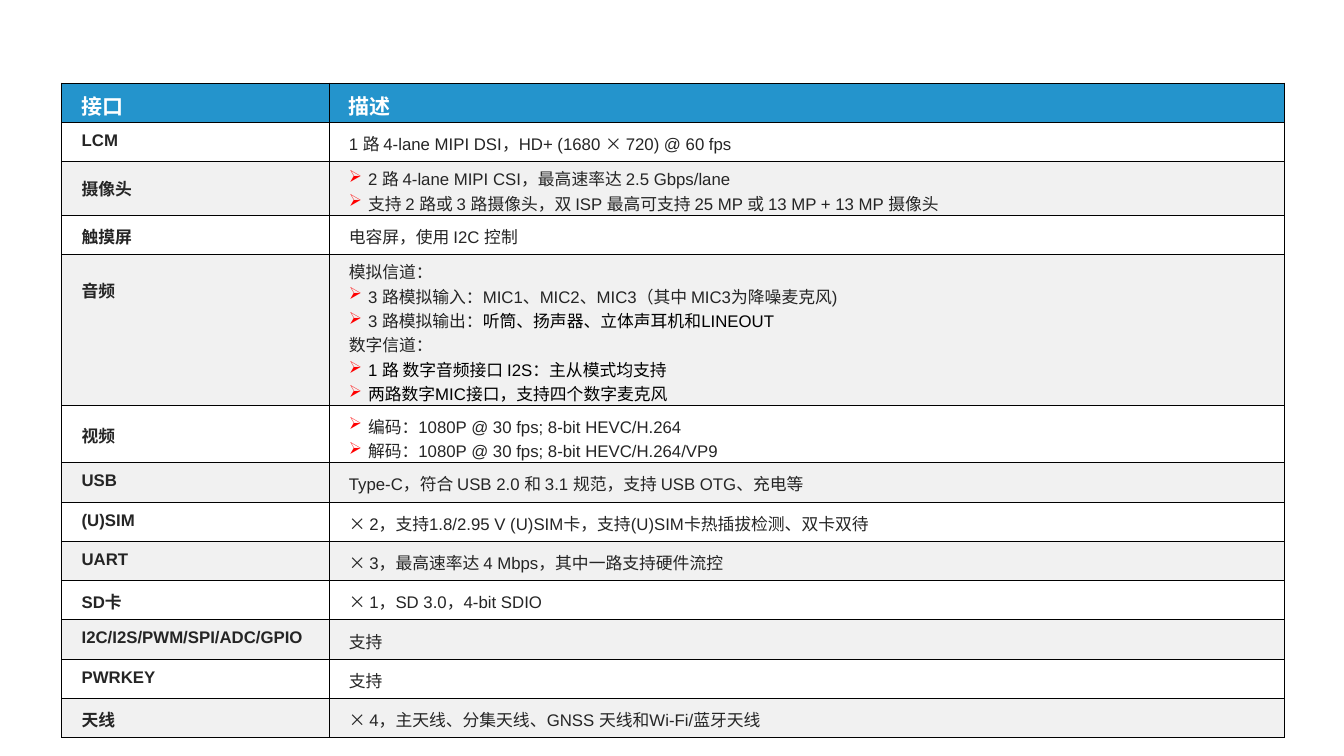
from lxml.etree import SubElement
from pptx import Presentation
from pptx.dml.color import RGBColor
from pptx.oxml.ns import qn
from pptx.util import Inches, Pt

LATIN, CJK = "Arial", "Noto Sans CJK SC"
HEADER_BLUE, BAND_GREY, WHITE = "2494CC", "F1F1F1", "FFFFFF"
TEXT_GREY, BLACK, BULLET_RED = "252525", "000000", "FF0000"
BULLET, BLACK_FROM = "➢", "|"
COLUMN_WIDTHS = 2.65, 9.48
ROW_HEIGHT, ROW_INSET = 0.39, 0.09
TALL_ROWS = {
    "摄像头": (0.5, 0.15, 0.05),
    "音频": (1.25, 0.24, 0.05),
    "视频": (0.56, 0.17, 0.08),
}
HEADER = "接口", "描述"
INTERFACES = [
    ("LCM", ["1 路 4-lane MIPI DSI，HD+ (1680 × 720) @ 60 fps"]),
    ("摄像头", [
        "➢2 路 4-lane MIPI CSI，最高速率达 2.5 Gbps/lane",
        "➢支持 2 路或 3 路摄像头，双 ISP 最高可支持 25 MP 或 13 MP + 13 MP 摄像头",
    ]),
    ("触摸屏", ["电容屏，使用 I2C 控制"]),
    ("音频", [
        "模拟信道：",
        "➢3 路模拟输入：MIC1、MIC2、MIC3（其中 MIC3为降噪麦克风)",
        "➢3 路模拟输出：|听筒、扬声器、立体声耳机和LINEOUT",
        "数字信道：",
        "➢|1 路 数字音频接口 I2S：主从模式均支持",
        "➢|两路数字MIC接口，支持四个数字麦克风",
    ]),
    ("视频", [
        "➢编码：1080P @ 30 fps; 8-bit HEVC/H.264",
        "➢解码：1080P @ 30 fps; 8-bit HEVC/H.264/VP9",
    ]),
    ("USB", ["Type-C，符合 USB 2.0 和 3.1 规范，支持 USB OTG、充电等"]),
    ("(U)SIM", ["× 2，支持1.8/2.95 V (U)SIM卡，支持(U)SIM卡热插拔检测、双卡双待"]),
    ("UART", ["× 3，最高速率达 4 Mbps，其中一路支持硬件流控"]),
    ("SD卡", ["× 1，SD 3.0，4-bit SDIO"]),
    ("I2C/I2S/PWM/SPI/ADC/GPIO", ["支持"]),
    ("PWRKEY", ["支持"]),
    ("天线", ["× 4，主天线、分集天线、GNSS 天线和Wi-Fi/蓝牙天线"]),
]


def rgb(color):
    """Turn a hex string into a colour."""
    return RGBColor.from_string(color)


def split_scripts(text):
    """Split text into (font, piece) pairs; a space stays with the piece before it."""
    pieces = []
    for char in text:
        font = CJK if char == "×" or char >= "\u2e80" else LATIN
        if pieces and (char == " " or pieces[-1][0] == font):
            pieces[-1][1] += char
        else:
            pieces.append([font, char])
    return pieces


def add_runs(paragraph, text, color):
    """Add text in one colour, with the font that suits each script."""
    for font, piece in split_scripts(text):
        run = paragraph.add_run()
        run.text = piece
        run.font.color.rgb = rgb(color)
        run.font.name = font
        SubElement(run.font._element, qn("a:ea"), typeface=CJK)


def set_indent(paragraph, bulleted):
    """Indent a paragraph and give it a red arrow bullet if asked."""
    properties = paragraph._p.get_or_add_pPr()
    properties.set("marL", str(Inches(0.39 if bulleted else 0.2)))
    properties.set("indent", str(Inches(-0.19 if bulleted else 0)))
    if bulleted:
        bullet_color = SubElement(properties, qn("a:buClr"))
        SubElement(bullet_color, qn("a:srgbClr"), val=BULLET_RED)
        SubElement(properties, qn("a:buChar"), char=BULLET)
        tabs = SubElement(properties, qn("a:tabLst"))
        SubElement(tabs, qn("a:tab"), pos=str(Inches(0.39)), algn="l")
    else:
        SubElement(properties, qn("a:buNone"))


def style_cell(cell, fill, inset):
    """Set the fill, margins and thin black borders of a cell."""
    cell.margin_left = cell.margin_right = cell.margin_bottom = 0
    cell.margin_top = Inches(inset)
    properties = cell._tc.get_or_add_tcPr()
    for side in ("lnL", "lnR", "lnT", "lnB"):
        border = SubElement(properties, qn(f"a:{side}"), w=str(Pt(0.25)))
        border_fill = SubElement(border, qn("a:solidFill"))
        SubElement(border_fill, qn("a:srgbClr"), val=BLACK)
    cell.fill.solid()
    cell.fill.fore_color.rgb = rgb(fill)


def fill_cell(cell, lines, fill, inset, size=12, bold=False, color=TEXT_GREY):
    """Write lines into a cell, one paragraph each."""
    style_cell(cell, fill, inset)
    frame = cell.text_frame
    for index, line in enumerate(lines):
        paragraph = frame.add_paragraph() if index else frame.paragraphs[0]
        set_indent(paragraph, line.startswith(BULLET))
        paragraph.font.size = Pt(size)
        paragraph.font.bold = bold
        plain, _, black = line.removeprefix(BULLET).partition(BLACK_FROM)
        add_runs(paragraph, plain, color)
        add_runs(paragraph, black, BLACK)


def add_interface_table(slide, left, top, width, height):
    """Place the table of interfaces in the given box."""
    table = slide.shapes.add_table(
        len(INTERFACES) + 1, 2, Inches(left), Inches(top), Inches(width), Inches(height)
    ).table
    table.horz_banding = False
    for column, column_width in zip(table.columns, COLUMN_WIDTHS):
        column.width = Inches(column_width)
    table.rows[0].height = Inches(ROW_HEIGHT)
    for column, title in enumerate(HEADER):
        fill_cell(table.cell(0, column), [title], HEADER_BLUE, 0.07, 15, True, WHITE)
    for row, (interface, description) in enumerate(INTERFACES, 1):
        row_height, label_inset, description_inset = TALL_ROWS.get(
            interface, (ROW_HEIGHT, ROW_INSET, ROW_INSET)
        )
        table.rows[row].height = Inches(row_height)
        fill = WHITE if row % 2 else BAND_GREY
        fill_cell(table.cell(row, 0), [interface], fill, label_inset, bold=True)
        fill_cell(table.cell(row, 1), description, fill, description_inset)


def main():
    """Build and save the slide."""
    deck = Presentation()
    deck.slide_width, deck.slide_height = Inches(13.33), Inches(7.5)
    slide = deck.slides.add_slide(deck.slide_layouts[6])
    add_interface_table(slide, 0.61, 0.82, 12.13, 6.2)
    deck.save("out.pptx")


if __name__ == "__main__":
    main()
